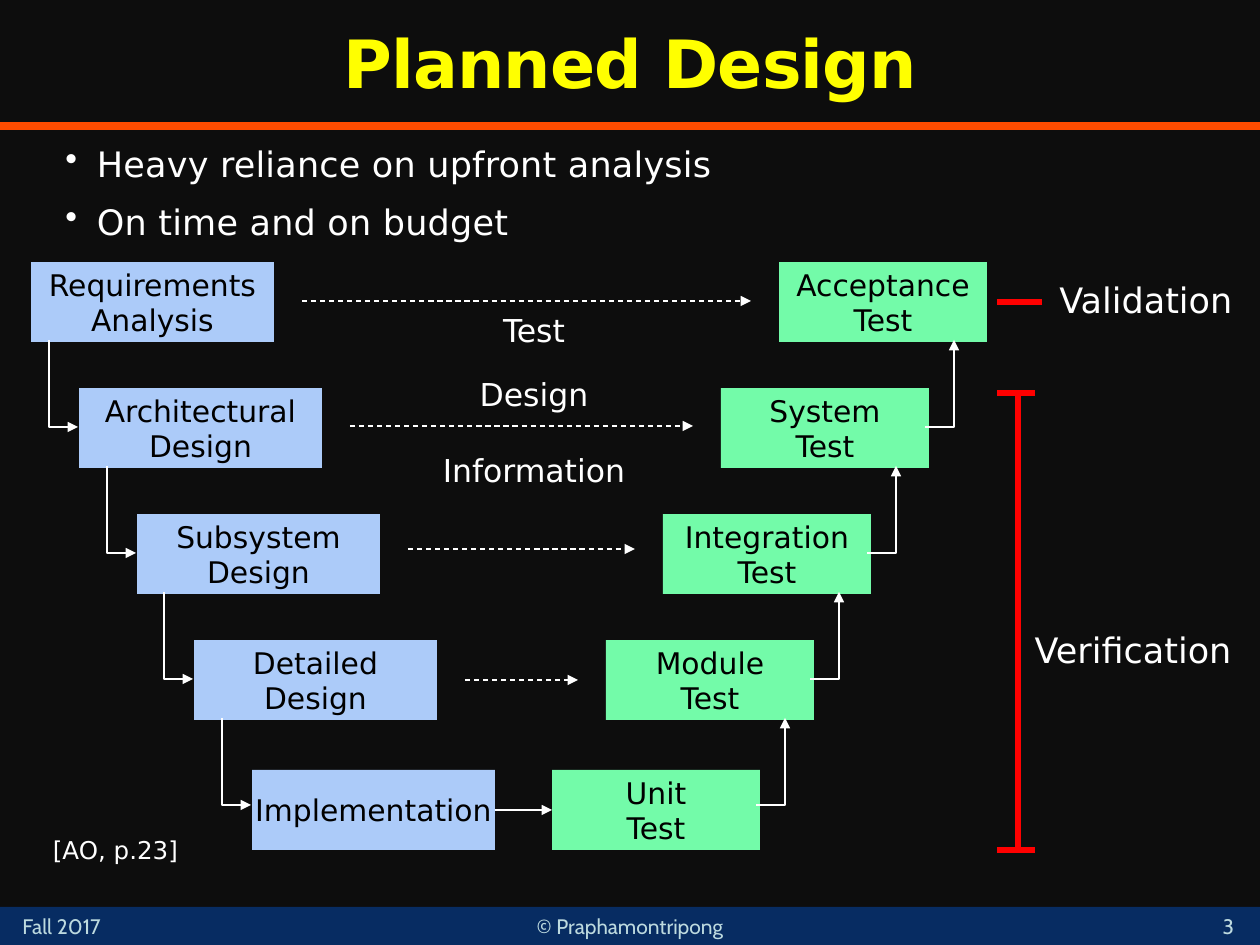
from itertools import pairwise

from lxml import etree
from pptx import Presentation
from pptx import util as u
from pptx.dml.color import RGBColor
from pptx.enum import dml, shapes, text
from pptx.oxml.ns import qn

BACKGROUND, WHITE, BLACK = "0D0D0D", "FFFFFF", "000000"
YELLOW, ORANGE, RED = "FFFF00", "FF4C00", "FF0000"
NAVY, FOOTER_TEXT = "072C62", "BDDADF"
DESIGN_BLUE, TEST_GREEN = "ACCBF9", "73FBA9"
LEFT, CENTER, RIGHT = text.PP_ALIGN.LEFT, text.PP_ALIGN.CENTER, text.PP_ALIGN.RIGHT
TOP, MIDDLE = text.MSO_ANCHOR.TOP, text.MSO_ANCHOR.MIDDLE


def px(n):
    """Slide pixels (126 to the inch) as EMU."""
    return u.Emu(round(n * 914400 / 126))


def rgb(color):
    return RGBColor.from_string(color)


def write(tf, lines, size=18, color=WHITE, font="DejaVu Sans", bold=False, align=LEFT,
          anchor=TOP, wrap=True, gaps=(), after=0, leading=None, tracking=0, bullet=None):
    """Fill a frame with one paragraph a line; gaps are the spaces before lines 2, 3..."""
    tf.word_wrap = wrap
    tf.vertical_anchor = anchor
    for i, line in enumerate(lines):
        p = tf.paragraphs[0] if i == 0 else tf.add_paragraph()
        p.alignment = align
        p.space_after = u.Pt(after)
        if leading:
            p.line_spacing = leading
        if i and gaps:
            p.space_before = u.Pt(gaps[i - 1])
        if bullet:
            pPr = p._p.get_or_add_pPr()
            pPr.set("marL", str(u.Inches(0.25)))
            pPr.set("indent", str(-u.Inches(0.25)))
            etree.SubElement(pPr, qn("a:buChar")).set("char", bullet)
        r = p.add_run()
        r.text = line
        r.font.name = font
        r.font.size = u.Pt(size)
        r.font.bold = bold
        r.font.color.rgb = rgb(color)
        if tracking:
            r.font._element.set("spc", str(round(tracking * 100)))


class Deck:
    def __init__(self, width, height):
        self.prs = Presentation()
        self.prs.slide_width, self.prs.slide_height = px(width), px(height)

    def new_slide(self, color):
        self.s = self.prs.slides.add_slide(self.prs.slide_layouts[6])
        fill = self.s.background.fill
        fill.solid()
        fill.fore_color.rgb = rgb(color)

    def rect(self, x, y, w, h, fill, lines=()):
        sp = self.s.shapes.add_shape(shapes.MSO_SHAPE.RECTANGLE, px(x), px(y), px(w), px(h))
        sp.shadow.inherit = False
        sp.fill.solid()
        sp.fill.fore_color.rgb = rgb(fill)
        sp.line.fill.background()
        write(sp.text_frame, lines, size=17, color=BLACK, align=CENTER,
              anchor=MIDDLE, wrap=False)

    def text(self, x, y, w, h, *lines, **style):
        sp = self.s.shapes.add_textbox(px(x), px(y), px(w), px(h))
        write(sp.text_frame, lines, **style)

    def line(self, x1, y1, x2, y2, color=WHITE, width=1.5, dashed=False, arrow=None,
             kind=shapes.MSO_CONNECTOR.STRAIGHT):
        """Draw a connector; arrow is None, "headEnd" (start) or "tailEnd" (end)."""
        sp = self.s.shapes.add_connector(kind, px(x1), px(y1), px(x2), px(y2))
        sp.line.color.rgb = rgb(color)
        sp.line.width = u.Pt(width)
        if dashed:
            sp.line.dash_style = dml.MSO_LINE.DASH
        if arrow:
            etree.SubElement(sp.line._ln, qn(f"a:{arrow}")).set("type", "triangle")
        etree.SubElement(sp._element.spPr, qn("a:effectLst"))
        return sp

    def elbow(self, x1, y1, x2, y2, arrow):
        """Run down from the first point, then sideways to the second."""
        rightward = x2 > x1
        mid_x, mid_y = (x1 + x2) / 2, (y1 + y2) / 2
        half_w, half_h = (y2 - y1) / 2, abs(x2 - x1) / 2
        side = half_w if rightward else -half_w
        sp = self.line(mid_x + side, mid_y - half_h, mid_x - side, mid_y + half_h,
                       arrow=arrow, kind=shapes.MSO_CONNECTOR.ELBOW)
        spPr = sp._element.spPr
        spPr.find(qn("a:xfrm")).set("rot", str((270 if rightward else 90) * 60000))
        spPr.find(qn("a:prstGeom")).set("prst", "bentConnector2")


def add_frame(deck):
    """Title, rule and footer."""
    footer = dict(size=12, color=FOOTER_TEXT, font="Cabin")
    deck.rect(0, 907, 1260, 38, NAVY)
    deck.line(0, 126, 1260, 126, ORANGE, 4.5)
    deck.text(10, 907, 147, 38, "Fall 2017", **footer)
    deck.text(462, 907, 336, 38, "© Praphamontripong", align=CENTER, **footer)
    deck.text(1197, 907, 63, 38, "3", align=CENTER, **footer)
    deck.text(0, 8, 1260, 126, "Planned Design", size=38, color=YELLOW, bold=True,
              align=CENTER, anchor=MIDDLE, leading=0.75, tracking=-0.5)


def add_v_model(deck):
    design_w, test_w, box_h, arrow_gap = 243, 208, 80, 28
    # top, design left, design lines, test left, test name, height of the dashed arrow
    levels = [
        (262, 31, ("Requirements", "Analysis"), 779, "Acceptance", 301),
        (388, 79, ("Architectural", "Design"), 721, "System", 426),
        (514, 137, ("Subsystem", "Design"), 663, "Integration", 549),
        (640, 194, ("Detailed", "Design"), 606, "Module", 680),
        (770, 252, ("Implementation",), 552, "Unit", None),
    ]
    for top, design_x, design, test_x, test, arrow_y in levels:
        deck.rect(design_x, top, design_w, box_h, DESIGN_BLUE, design)
        deck.rect(test_x, top, test_w, box_h, TEST_GREEN, (test, "Test"))
        if arrow_y:
            deck.line(design_x + design_w + arrow_gap, arrow_y, test_x - arrow_gap, arrow_y,
                      width=0.75, dashed=True, arrow="tailEnd")
    deck.line(495, 810, 552, 810, arrow="tailEnd")

    for (top, *_), (_, design_x, _, test_x, *_) in pairwise(levels):
        start, end = top + 78, top + 165
        test_right = test_x + test_w
        deck.elbow(design_x - 30, start, design_x - 1, end, "tailEnd")
        deck.elbow(test_right + 25, start, test_right - 4, end, "headEnd")

    deck.text(416, 305, 236, 190, "Test", "Design", "Information",
              align=CENTER, gaps=(15, 22))


def add_scope_marks(deck):
    """Red marks telling validation from verification."""
    deck.text(1029, 272, 216, 55, "Validation", size=20, align=RIGHT)
    deck.text(1018, 622, 226, 55, "Verification", size=20, align=RIGHT)
    for x1, y1, x2, y2 in [(997, 302, 1042, 302), (997, 393, 1035, 393),
                           (1018, 393, 1018, 850), (997, 850, 1035, 850)]:
        deck.line(x1, y1, x2, y2, RED, 3)


def main():
    deck = Deck(1260, 945)
    deck.new_slide(BACKGROUND)
    add_frame(deck)
    deck.text(53, 136, 1176, 144, "Heavy reliance on upfront analysis",
              "On time and on budget", size=20, gaps=(7,), after=2, tracking=0.1, bullet="•")
    add_v_model(deck)
    add_scope_marks(deck)
    deck.text(21, 829, 189, 43, "[AO, p.23]", size=14, align=CENTER)
    deck.prs.save("out.pptx")


if __name__ == "__main__":
    main()
